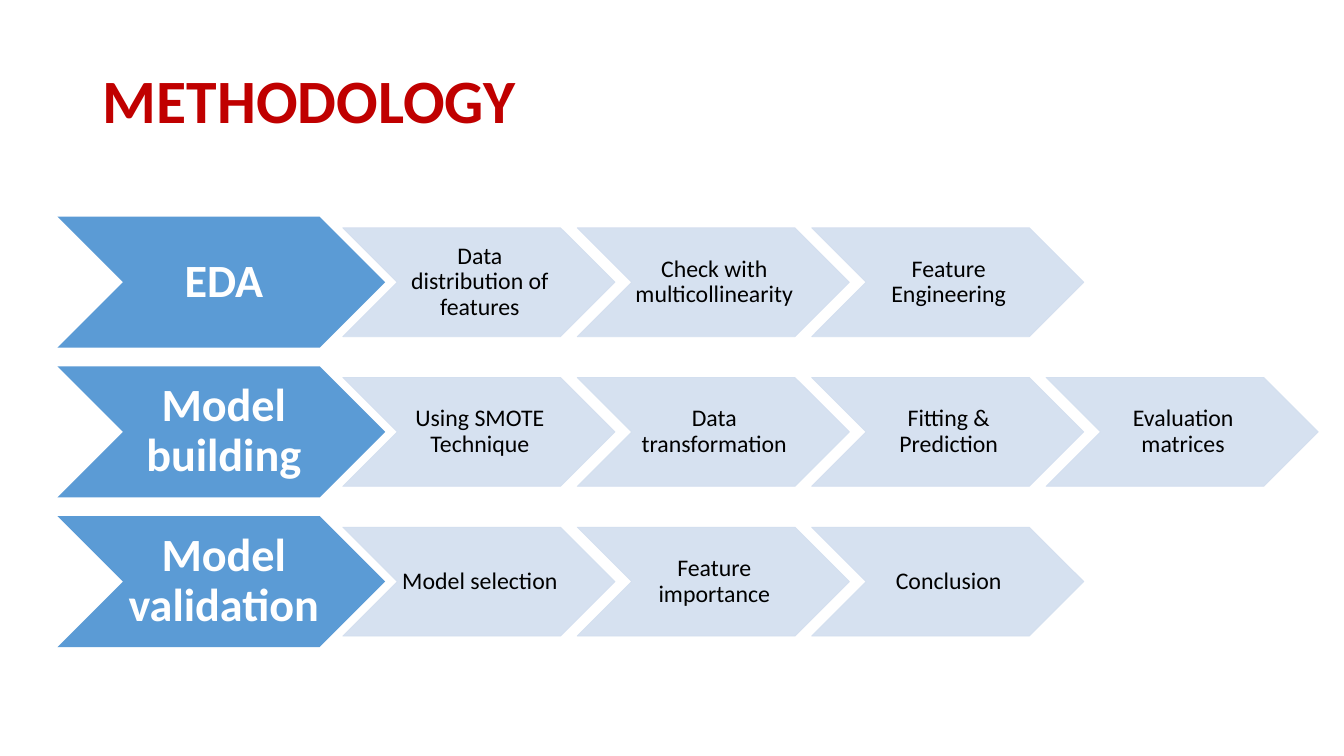
from lxml import etree
from pptx import Presentation
from pptx.dml.color import RGBColor
from pptx.enum.shapes import MSO_SHAPE
from pptx.enum.text import MSO_ANCHOR, MSO_AUTO_SIZE, PP_ALIGN
from pptx.oxml.ns import qn
from pptx.util import Inches, Pt

CHEVRON = MSO_SHAPE.CHEVRON
MIDDLE = MSO_ANCHOR.MIDDLE
NO_AUTOFIT = MSO_AUTO_SIZE.NONE
LEFT, CENTER = PP_ALIGN.LEFT, PP_ALIGN.CENTER

RED = RGBColor(0xC0, 0x00, 0x00)
BLUE = RGBColor(0x5B, 0x9B, 0xD5)
PALE_BLUE = RGBColor(0xD2, 0xDE, 0xEF)
WHITE = RGBColor(0xFF, 0xFF, 0xFF)
BLACK = RGBColor(0x00, 0x00, 0x00)

TITLE_ONLY = 5
TITLE_FONT = {"name": "Calibri", "size": Pt(44), "bold": True}
PHASE_FONT = {"name": "Calibri", "size": Pt(33), "bold": True}
STEP_FONT = {"name": "Calibri", "size": Pt(17), "bold": False}
PHASE_MARGINS = {"margin_left": Inches(0.05), "margin_right": 0,
                 "margin_top": Inches(0.02), "margin_bottom": Inches(0.02)}
STEP_MARGINS = {"margin_left": Inches(0.02), "margin_right": 0,
                "margin_top": Inches(0.01), "margin_bottom": Inches(0.01)}

PHASE_WIDTH, PHASE_HEIGHT = 3.25, 1.3
STEP_WIDTH, STEP_HEIGHT = 2.7, 1.08
FIRST_STEP_OFFSET = 2.83
STEP_PITCH = 2.325
ROW_PITCH = 1.485

PHASES = [
    ("EDA", ["Data distribution of features", "Check with multicollinearity",
             "Feature Engineering"]),
    ("Model building", ["Using SMOTE Technique", "Data transformation",
                        "Fitting & Prediction", "Evaluation matrices"]),
    ("Model validation", ["Model selection", "Feature importance", "Conclusion"]),
]


def set_attributes(target, values):
    for name, value in values.items():
        setattr(target, name, value)


def write_text(shape, text, font, color, alignment, margins):
    frame = shape.text_frame
    set_attributes(frame, {"word_wrap": True, "auto_size": NO_AUTOFIT,
                           "vertical_anchor": MIDDLE, **margins})
    para = frame.paragraphs[0]
    set_attributes(para, {"alignment": alignment, "line_spacing": 0.9})
    span = para.add_run()
    span.text = text
    set_attributes(span.font, font)
    span.font.color.rgb = color


def set_opacity(shape, percent):
    """Apply one opacity to both the fill and the outline."""
    for color in shape.element.spPr.iter(qn("a:srgbClr")):
        etree.SubElement(color, qn("a:alpha")).set("val", str(percent * 1000))


def add_chevron(page, left, top, width, height, color):
    shape = page.shapes.add_shape(CHEVRON, Inches(left), Inches(top),
                                  Inches(width), Inches(height))
    shape.shadow.inherit = False
    shape.fill.solid()
    shape.fill.fore_color.rgb = color
    return shape


def add_phase(page, left, top, name):
    shape = add_chevron(page, left, top, PHASE_WIDTH, PHASE_HEIGHT, BLUE)
    shape.line.fill.background()
    write_text(shape, name, PHASE_FONT, WHITE, CENTER, PHASE_MARGINS)


def add_step(page, left, top, name):
    shape = add_chevron(page, left, top, STEP_WIDTH, STEP_HEIGHT, PALE_BLUE)
    shape.line.color.rgb = PALE_BLUE
    shape.line.width = Pt(0.5)
    set_opacity(shape, 90)
    write_text(shape, name, STEP_FONT, BLACK, CENTER, STEP_MARGINS)


def add_row(page, left, top, phase, steps):
    add_phase(page, left, top, phase)
    step_top = top + (PHASE_HEIGHT - STEP_HEIGHT) / 2
    for column, step in enumerate(steps):
        step_left = left + FIRST_STEP_OFFSET + column * STEP_PITCH
        add_step(page, step_left, step_top, step)


def add_process(page, left, top):
    for row, (phase, steps) in enumerate(PHASES):
        add_row(page, left, top + row * ROW_PITCH, phase, steps)


def add_title(page, left, top, width, height):
    title = page.shapes.title
    set_attributes(title, {"left": Inches(left), "top": Inches(top),
                           "width": Inches(width), "height": Inches(height)})
    write_text(title, "METHODOLOGY", TITLE_FONT, RED, LEFT, {})


def main():
    deck = Presentation()
    deck.slide_width, deck.slide_height = Inches(13.33), Inches(7.5)
    page = deck.slides.add_slide(deck.slide_layouts[TITLE_ONLY])
    add_title(page, 0.92, 0.4, 11.5, 1.26)
    add_process(page, 0.57, 2.15)
    deck.save("out.pptx")


if __name__ == "__main__":
    main()
